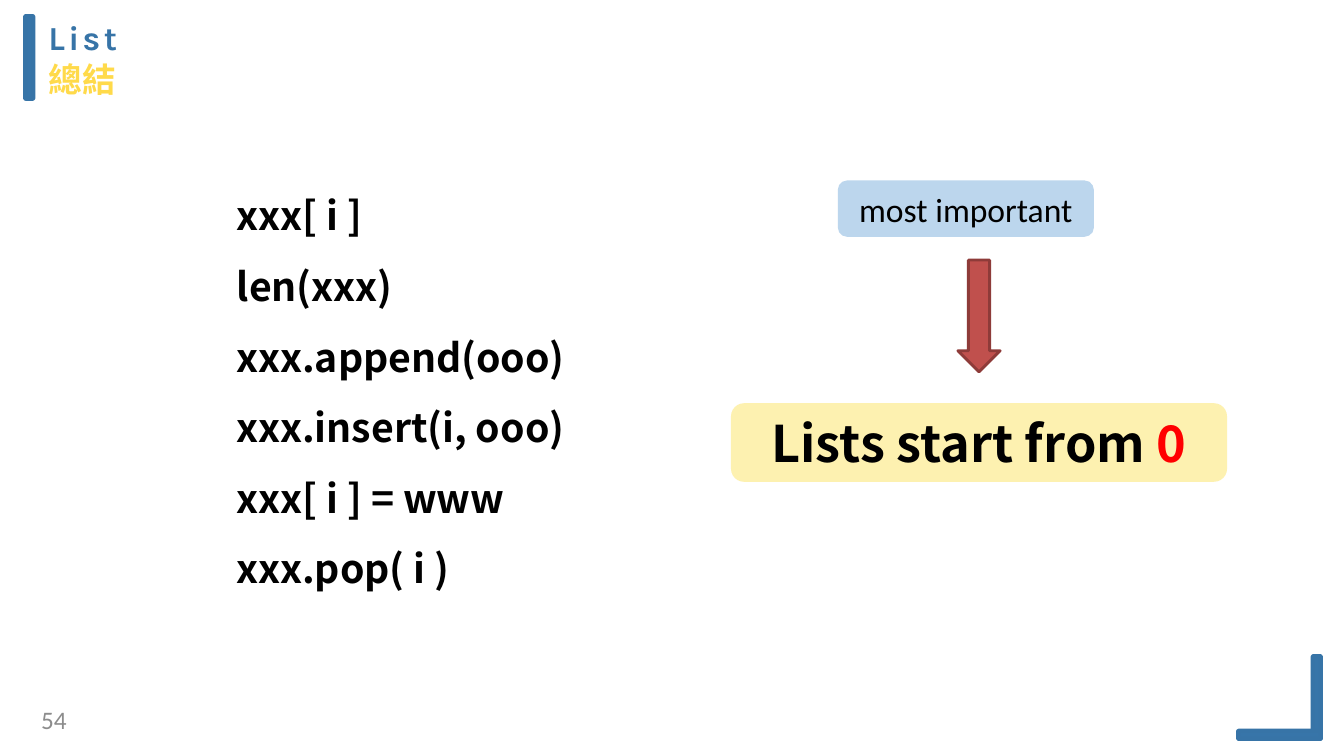
from pptx import Presentation, util as u
from pptx.dml.color import RGBColor
from pptx.enum import shapes, text
from pptx.oxml.ns import qn
from lxml import etree

BLUE = RGBColor(0x37, 0x75, 0xA9)
EDGE_BLUE = RGBColor(0x37, 0x74, 0xA7)
GOLD = RGBColor(0xFF, 0xDA, 0x4A)
CREAM = RGBColor(0xFD, 0xF1, 0xB0)
SKY = RGBColor(0xBC, 0xD6, 0xED)
BRICK = RGBColor(0xC0, 0x50, 0x4D)
DARK_BRICK = RGBColor(0x8E, 0x3B, 0x39)
RED = RGBColor(0xFF, 0, 0)
GRAY = RGBColor(0x8C, 0x8C, 0x8C)
BLACK = RGBColor(0, 0, 0)

HEADING = [("List", "Karla", EDGE_BLUE, 240), ("總結", "Noto Sans CJK SC", GOLD, 60)]
OPERATIONS = ["xxx[ i ]", "len(xxx)", "xxx.append(ooo)", "xxx.insert(i, ooo)", "xxx[ i ] = www", "xxx.pop( i )"]
CALLOUTS = [
    ((7.25, 4, 4.92, 0.78), CREAM, [("Lists start from ", BLACK), ("0", RED)], 36, "Noto Sans CJK SC", True),
    ((8.31, 1.79, 2.54, 0.56), SKY, [("most important", BLACK)], 24, "Calibri", False),
]
PAGE = "54"
BAR, THICK = 0.82, 0.08
CORNER = (13.1, 7.33)
BARS = [
    (0.25, 0.16, THICK, BAR),
    (CORNER[0] - THICK, CORNER[1] - BAR, THICK, BAR),
    (CORNER[0] - BAR, CORNER[1] - THICK, BAR, THICK),
]


def inches(box):
    return [u.Inches(v) for v in box]


def style(run, size, face, color, bold=False):
    run.font.size, run.font.name, run.font.bold = u.Pt(size), face, bold
    run.font.color.rgb = color
    etree.SubElement(run.font._element, qn("a:ea")).set("typeface", face)


def margins(frame, *sides):
    frame.margin_left, frame.margin_top, frame.margin_right, frame.margin_bottom = inches(sides)


def add_block(kind, box, fill, line=None, width=0):
    block = slide.shapes.add_shape(kind, *inches(box))
    block.shadow.inherit = False
    block.fill.solid()
    block.fill.fore_color.rgb = fill
    if line is None:
        block.line.fill.background()
    else:
        block.line.color.rgb = line
        block.line.width = u.Pt(width)
    return block


deck = Presentation()
deck.slide_width, deck.slide_height = inches((13.33, 7.5))
slide = deck.slides.add_slide(deck.slide_layouts[5])

title = slide.shapes.title
title.left, title.top, title.width, title.height = inches((0.48, 0.16, 4.52, 0.84))
heading = title.text_frame
heading.text = "\n".join(line[0] for line in HEADING)
heading.vertical_anchor = text.MSO_ANCHOR.TOP
heading.auto_size = text.MSO_AUTO_SIZE.NONE
margins(heading, 0, 0.01, 0, 0)
for paragraph, (_, face, color, spacing) in zip(heading.paragraphs, HEADING):
    paragraph.alignment = text.PP_ALIGN.LEFT
    paragraph.space_before = u.Pt(1)
    style(paragraph.runs[0], 24, face, color, True)
    paragraph.runs[0].font._element.set("spc", str(spacing))

for box in BARS:
    bar = add_block(shapes.MSO_SHAPE.ROUNDED_RECTANGLE, box, BLUE, EDGE_BLUE, 3)
    bar.adjustments[0] = 0.1

number = slide.shapes.add_textbox(*inches((0.08, 6.99, 0.58, 0.3))).text_frame
number.text = PAGE
number.word_wrap = True
margins(number, 0, 0, 0, 0)
number.paragraphs[0].alignment = text.PP_ALIGN.RIGHT
style(number.paragraphs[0].runs[0], 18, "Calibri", GRAY)

operations = slide.shapes.add_textbox(*inches((2.25, 1.62, 4.08, 4.26))).text_frame
operations.text = "\n".join(OPERATIONS)
operations.word_wrap = True
for paragraph in operations.paragraphs:
    paragraph.line_spacing = 1.5
    style(paragraph.runs[0], 28, "Noto Sans CJK TC", BLACK, True)

for box, fill, words, size, face, bold in CALLOUTS:
    callout = add_block(shapes.MSO_SHAPE.ROUNDED_RECTANGLE, box, fill).text_frame
    callout.word_wrap = True
    paragraph = callout.paragraphs[0]
    paragraph.alignment = text.PP_ALIGN.CENTER
    for words_part, color in words:
        run = paragraph.add_run()
        run.text = words_part
        style(run, size, face, color, bold)

add_block(shapes.MSO_SHAPE.DOWN_ARROW, (9.5, 2.58, 0.42, 1.11), BRICK, DARK_BRICK, 2)

deck.save("out.pptx")
